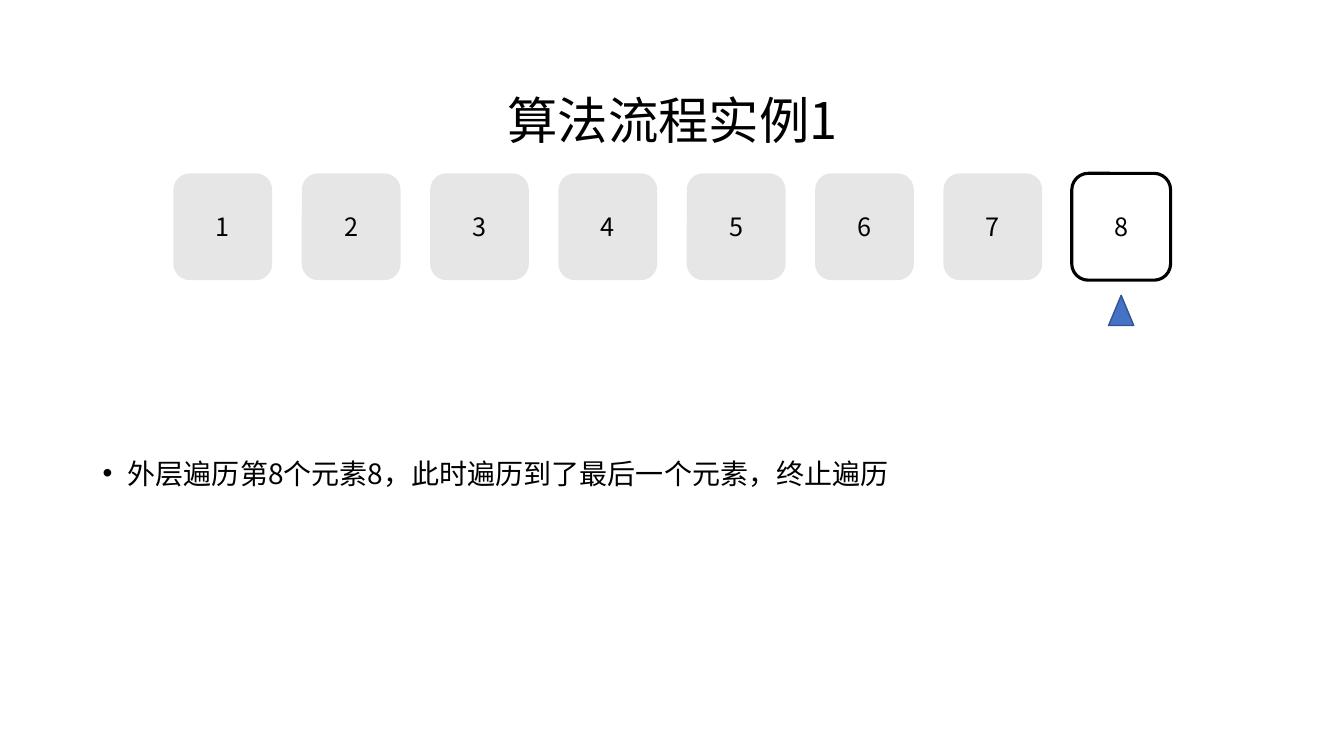
from dataclasses import dataclass

from lxml.etree import SubElement
from pptx import Presentation
from pptx.dml.color import RGBColor
from pptx.enum.shapes import MSO_SHAPE as Shape
from pptx.enum.text import MSO_ANCHOR as Anchor, MSO_AUTO_SIZE as AutoSize, PP_ALIGN as Align
from pptx.oxml.ns import qn
from pptx.util import Inches, Pt


@dataclass(frozen=True)
class Theme:
    font: str = "Noto Sans CJK SC"
    ink: str = "000000"
    visited: str = "E7E6E6"
    pointer: str = "4472C4"
    pointer_edge: str = "325491"
    title_size: int = 36
    note_size: int = 20
    cell_size: int = 18


THEME = Theme()


def set_font(paragraph, size):
    """Apply the theme font to Latin and East Asian characters alike."""
    font = paragraph.font
    font.name = THEME.font
    font.size = Pt(size)
    font.bold = False
    font.color.rgb = RGBColor.from_string(THEME.ink)
    defaults = paragraph._p.pPr.find(qn("a:defRPr"))
    SubElement(defaults, qn("a:ea"), typeface=THEME.font)


def place_title(slide, text, left, top, width, height):
    title = slide.shapes.title
    title.left, title.top = Inches(left), Inches(top)
    title.width, title.height = Inches(width), Inches(height)
    frame = title.text_frame
    frame.text = text
    frame.auto_size = AutoSize.NONE
    frame.vertical_anchor = Anchor.MIDDLE
    heading = frame.paragraphs[0]
    heading.alignment = Align.CENTER
    heading.line_spacing = 1.2
    set_font(heading, THEME.title_size)


def add_cell(slide, value, current, left, top, width, height):
    """Draw one array element: outlined if current, otherwise grey."""
    cell = slide.shapes.add_shape(
        Shape.ROUNDED_RECTANGLE, Inches(left), Inches(top), Inches(width), Inches(height))
    cell.shadow.inherit = False
    if current:
        cell.fill.background()
        cell.line.color.rgb = RGBColor.from_string(THEME.ink)
        cell.line.width = Pt(2.25)
    else:
        cell.fill.solid()
        cell.fill.fore_color.rgb = RGBColor.from_string(THEME.visited)
        cell.line.fill.background()
    frame = cell.text_frame
    frame.text = str(value)
    frame.vertical_anchor = Anchor.MIDDLE
    label = frame.paragraphs[0]
    label.alignment = Align.CENTER
    set_font(label, THEME.cell_size)


def add_pointer(slide, center, top, width=0.25, height=0.3):
    pointer = slide.shapes.add_shape(
        Shape.ISOSCELES_TRIANGLE,
        Inches(center - width / 2), Inches(top), Inches(width), Inches(height))
    pointer.shadow.inherit = False
    pointer.fill.solid()
    pointer.fill.fore_color.rgb = RGBColor.from_string(THEME.pointer)
    pointer.line.color.rgb = RGBColor.from_string(THEME.pointer_edge)
    pointer.line.width = Pt(1)


def add_array(slide, values, current, left, top, width, height, cell_width=0.98):
    """Spread the elements evenly over the box and point at the current one."""
    pitch = (width - cell_width) / (len(values) - 1)
    for index, value in enumerate(values):
        add_cell(slide, value, index == current,
                 left + index * pitch, top, cell_width, height)
    add_pointer(slide, left + current * pitch + cell_width / 2, top + height + 0.15)


def add_note(slide, text, left, top, width, height):
    """Add a bulleted explanation with a hanging indent."""
    note = slide.shapes.add_textbox(Inches(left), Inches(top), Inches(width), Inches(height))
    frame = note.text_frame
    frame.word_wrap = True
    frame.text = text
    step = frame.paragraphs[0]
    step.line_spacing = 1.5
    properties = step._p.get_or_add_pPr()
    properties.set("marL", str(Inches(0.25)))
    properties.set("indent", str(Inches(-0.25)))
    SubElement(properties, qn("a:buFont"), typeface="Arial")
    SubElement(properties, qn("a:buChar"), char="•")
    set_font(step, THEME.note_size)


def main():
    deck = Presentation()
    deck.slide_width, deck.slide_height = Inches(13.33), Inches(7.5)
    slide = deck.slides.add_slide(deck.slide_layouts[5])
    place_title(slide, "算法流程实例1", 0.92, 0.4, 11.5, 1.45)
    add_array(slide, range(1, 9), 7, 1.72, 1.72, 9.89, 1.06)
    add_note(slide, "外层遍历第8个元素8，此时遍历到了最后一个元素，终止遍历", 0.92, 4.31, 11.5, 2.79)
    deck.save("out.pptx")


if __name__ == "__main__":
    main()
